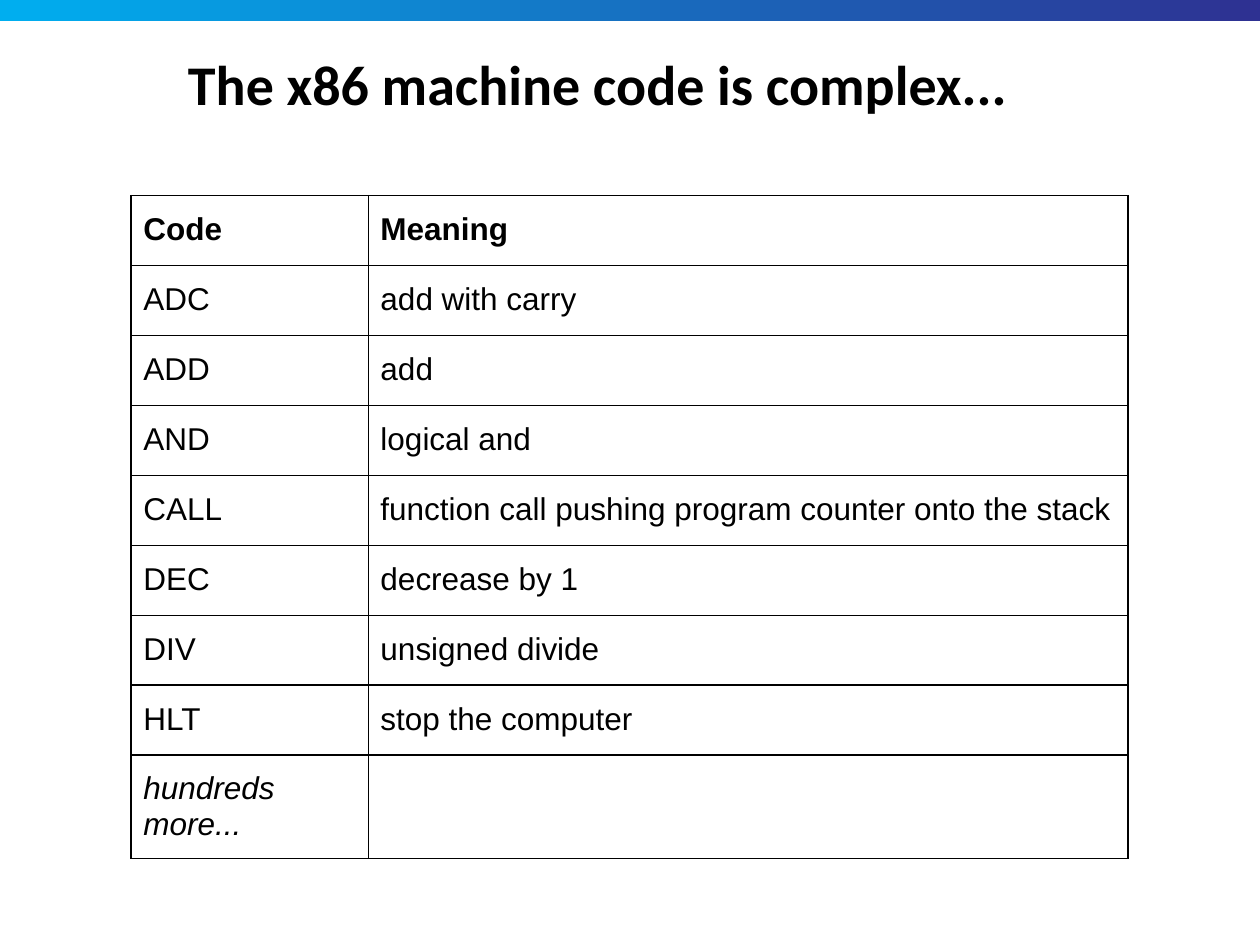
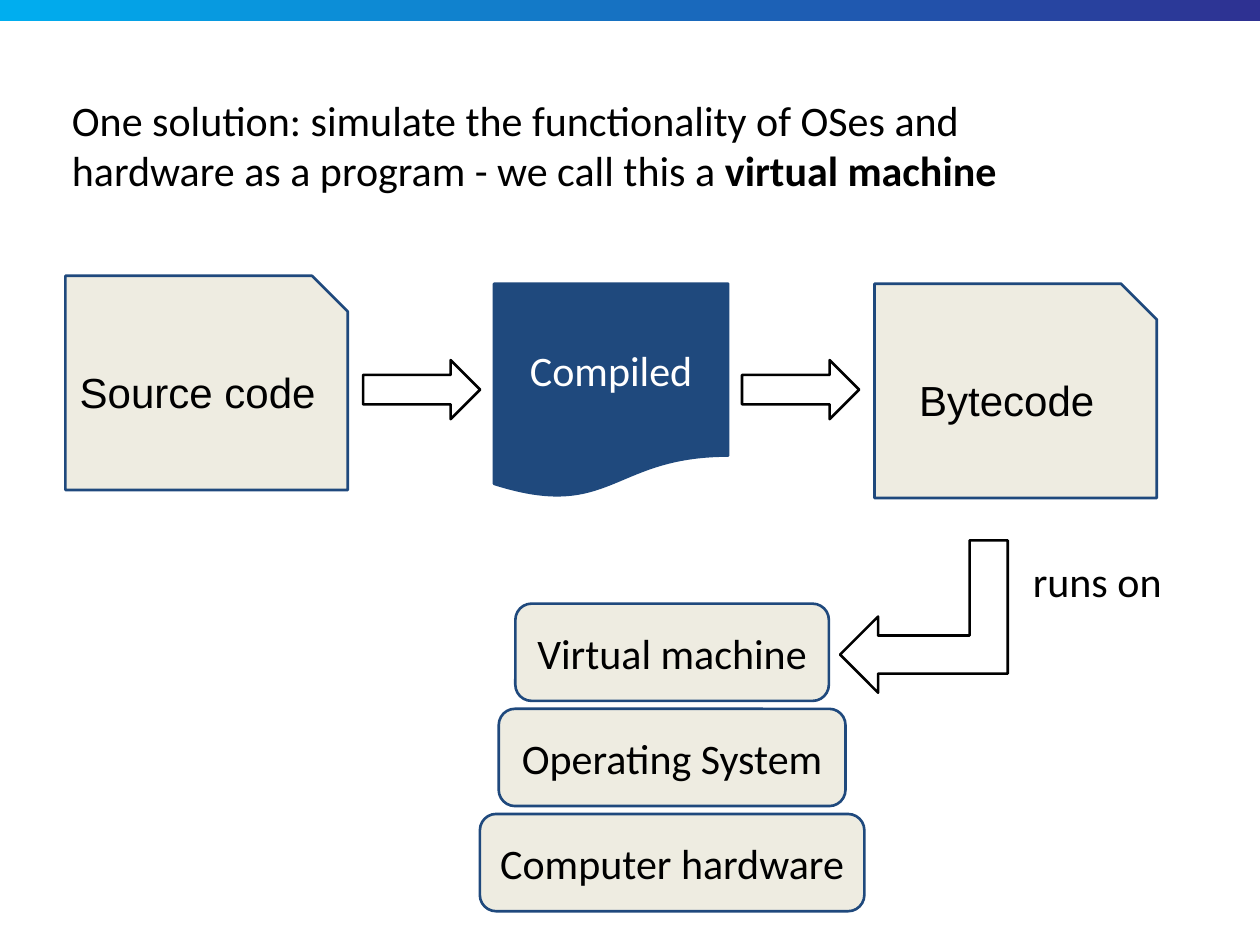
from lxml import etree
from pptx import Presentation
from pptx.dml.color import RGBColor
from pptx.enum.shapes import MSO_SHAPE
from pptx.enum.text import MSO_ANCHOR, MSO_AUTO_SIZE, PP_ALIGN
from pptx.oxml.ns import qn
from pptx.util import Cm, Pt

RECTANGLE = MSO_SHAPE.RECTANGLE
SNIPPED = MSO_SHAPE.SNIP_1_RECTANGLE
DOCUMENT = MSO_SHAPE.FLOWCHART_DOCUMENT
ROUNDED = MSO_SHAPE.ROUNDED_RECTANGLE
RIGHT_ARROW = MSO_SHAPE.RIGHT_ARROW
BENT_ARROW = MSO_SHAPE.BENT_UP_ARROW
MIDDLE, TOP = MSO_ANCHOR.MIDDLE, MSO_ANCHOR.TOP
LEFT, CENTER = PP_ALIGN.LEFT, PP_ALIGN.CENTER
NO_AUTOFIT = MSO_AUTO_SIZE.NONE

BLACK = RGBColor(0x00, 0x00, 0x00)
WHITE = RGBColor(0xFF, 0xFF, 0xFF)
NAVY = RGBColor(0x1F, 0x49, 0x7D)
CREAM = RGBColor(0xEE, 0xEC, 0xE1)
BAND_START = RGBColor(0x00, 0xAE, 0xEF)
BAND_END = RGBColor(0x2E, 0x31, 0x92)

HEADING_FONT = "Calibri"
PLAIN_FONT = "Arial"
TITLE_ONLY = 5

OPCODES = [
    ("Code", "Meaning"),
    ("ADC", "add with carry"),
    ("ADD", "add"),
    ("AND", "logical and"),
    ("CALL", "function call pushing program counter onto the stack"),
    ("DEC", "decrease by 1"),
    ("DIV", "unsigned divide"),
    ("HLT", "stop the computer"),
    ("hundreds more...", ""),
]


def add_run(paragraph, text, size, font=HEADING_FONT, color=BLACK, bold=False, italic=False):
    run = paragraph.add_run()
    run.text = text
    run.font.size = Pt(size)
    run.font.name = font
    run.font.color.rgb = color
    run.font.bold = bold
    run.font.italic = italic


def set_frame(frame, margin, anchor):
    frame.word_wrap = True
    frame.auto_size = NO_AUTOFIT
    frame.vertical_anchor = anchor
    frame.margin_left = frame.margin_right = Cm(margin)
    frame.margin_top = frame.margin_bottom = Cm(margin)


def add_band(prs, slide):
    band = slide.shapes.add_shape(RECTANGLE, 0, 0, prs.slide_width, Cm(0.43))
    band.shadow.inherit = False
    band.line.fill.background()
    band.fill.gradient()
    band.fill.gradient_angle = 0
    for stop, color in zip(band.fill.gradient_stops, (BAND_START, BAND_END)):
        stop.color.rgb = color
    band.element.nvSpPr.cNvPr.set("id", "20")
    prs.slide_master.shapes.element.insert(2, band.element)


def set_title(slide, width, height, pieces, size, align):
    title = slide.shapes.title
    title.left, title.top = Cm(1.27), Cm(0.76)
    title.width, title.height = Cm(width), Cm(height)
    set_frame(title.text_frame, 0.18, MIDDLE)
    paragraph = title.text_frame.paragraphs[0]
    paragraph.alignment = align
    for text, bold in pieces:
        add_run(paragraph, text, size, bold=bold)


def add_figure(slide, kind, left, top, width, height, fill, outline):
    figure = slide.shapes.add_shape(kind, Cm(left), Cm(top), Cm(width), Cm(height))
    figure.shadow.inherit = False
    figure.fill.solid()
    figure.fill.fore_color.rgb = fill
    figure.line.color.rgb = outline
    figure.line.width = Pt(1.5)
    return figure


def add_box(slide, kind, box, text, font=HEADING_FONT, fill=CREAM, color=BLACK):
    figure = add_figure(slide, kind, *box, fill, NAVY)
    set_frame(figure.text_frame, 0.25, MIDDLE)
    paragraph = figure.text_frame.paragraphs[0]
    paragraph.alignment = CENTER
    add_run(paragraph, text, 24, font, color)


def add_label(slide, left, top, width, height, text):
    label = slide.shapes.add_textbox(Cm(left), Cm(top), Cm(width), Cm(height))
    set_frame(label.text_frame, 0.25, TOP)
    add_run(label.text_frame.paragraphs[0], text, 24)


def add_borders(cell):
    properties = cell._tc.get_or_add_tcPr()
    for side in ("a:lnL", "a:lnR", "a:lnT", "a:lnB"):
        border = etree.SubElement(properties, qn(side), w=str(Pt(0.75)))
        fill = etree.SubElement(border, qn("a:solidFill"))
        etree.SubElement(fill, qn("a:srgbClr"), val=str(BLACK))


def add_opcode_table(slide):
    widths, row_height = (4.78, 15.32), 1.41
    frame = slide.shapes.add_table(
        len(OPCODES), len(widths), Cm(2.64), Cm(3.94),
        Cm(sum(widths)), Cm(row_height * len(OPCODES)))
    table = frame.table
    table.first_row = table.horz_banding = False
    for column, width in zip(table.columns, widths):
        column.width = Cm(width)
    last = len(OPCODES) - 1
    for index, (row, texts) in enumerate(zip(table.rows, OPCODES)):
        row.height = Cm(row_height)
        for cell, text in zip(row.cells, texts):
            add_borders(cell)
            cell.fill.background()
            cell.margin_left = cell.margin_right = Cm(0.25)
            cell.margin_top = cell.margin_bottom = Cm(0.33)
            if text:
                add_run(cell.text_frame.paragraphs[0], text, 18, PLAIN_FONT,
                        bold=index == 0, italic=index == last)


def add_compile_flow(slide):
    add_box(slide, SNIPPED, (1.32, 5.56, 5.69, 4.32), "Source code", PLAIN_FONT)
    add_box(slide, DOCUMENT, (9.96, 5.72, 4.72, 4.32), "Compiled", fill=NAVY, color=WHITE)
    add_box(slide, SNIPPED, (17.63, 5.72, 5.69, 4.32), "Bytecode", PLAIN_FONT)
    for left in (7.32, 14.96):
        add_figure(slide, RIGHT_ARROW, left, 7.26, 2.36, 1.19, WHITE, BLACK)


def add_machine_stack(slide):
    center, top, height, step = 13.55, 12.17, 1.96, 2.12
    layers = [("Virtual machine", 6.32), ("Operating System", 6.99), ("Computer hardware", 7.75)]
    for level, (name, width) in enumerate(layers):
        box = (center - width / 2, top + level * step, width, height)
        add_box(slide, ROUNDED, box, name)


def add_runs_on_arrow(slide):
    arrow = add_figure(slide, BENT_ARROW, 17.09, 10.74, 3.07, 3.38, WHITE, BLACK)
    arrow.rotation = 270
    arrow.element.spPr.find(qn("a:xfrm")).set("flipH", "1")
    add_label(slide, 20.57, 10.95, 3.38, 2.26, "runs on")


def main():
    prs = Presentation()
    prs.slide_width, prs.slide_height = Cm(25.4), Cm(19.05)
    layout = prs.slide_layouts[TITLE_ONLY]

    opcodes = prs.slides.add_slide(layout)
    add_band(prs, opcodes)
    set_title(opcodes, 21.56, 1.83, [("The x86 machine code is complex...", True)], 32, CENTER)
    add_opcode_table(opcodes)

    solution = prs.slides.add_slide(layout)
    set_title(solution, 20.5, 4.32, [
        ("One solution: simulate the functionality of OSes and hardware "
         "as a program - we call this a ", False),
        ("virtual machine", True),
    ], 24, LEFT)
    add_compile_flow(solution)
    add_machine_stack(solution)
    add_runs_on_arrow(solution)

    prs.save("out.pptx")


if __name__ == "__main__":
    main()
